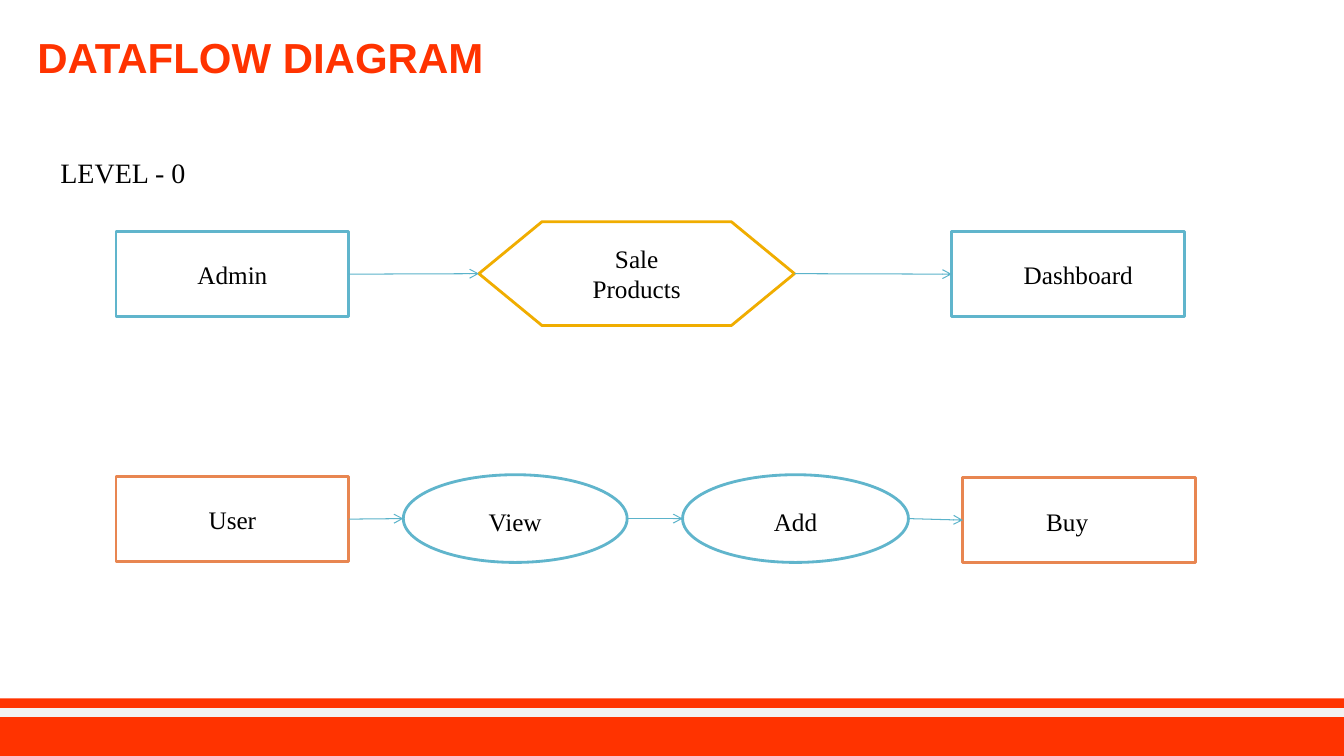
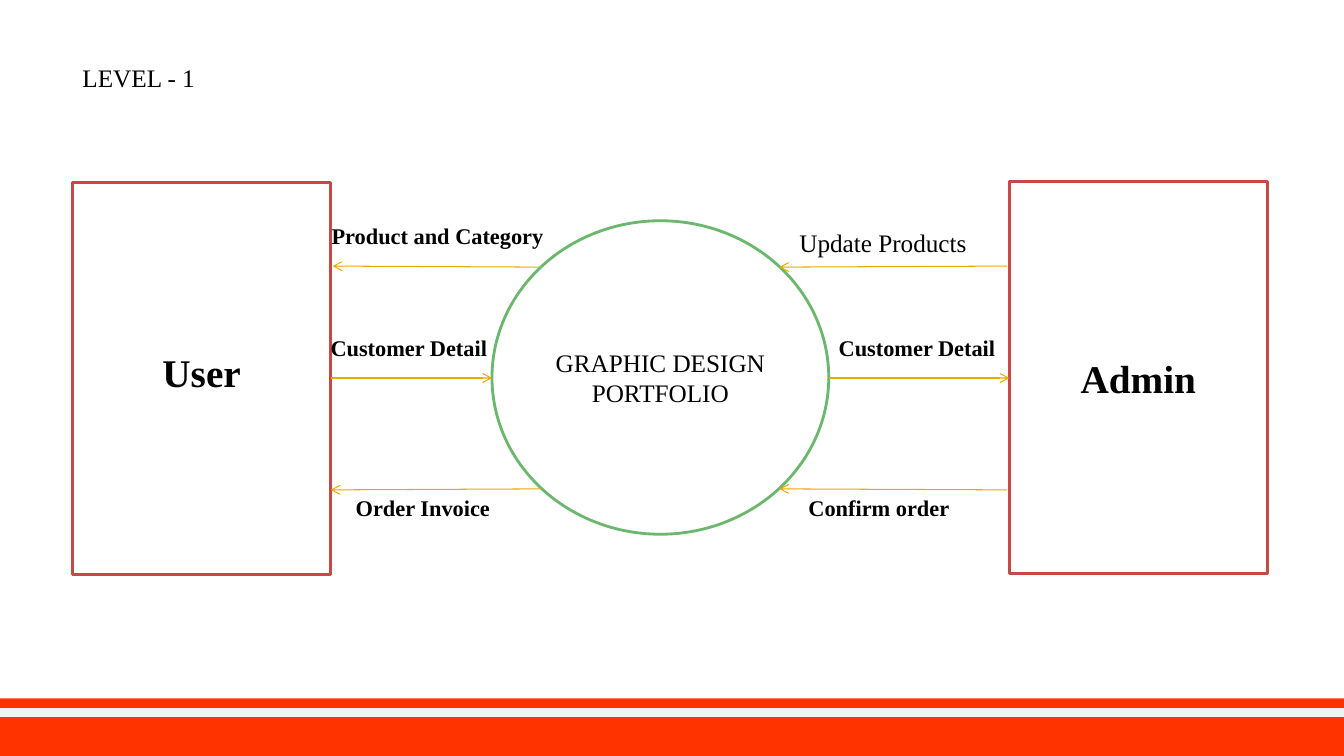
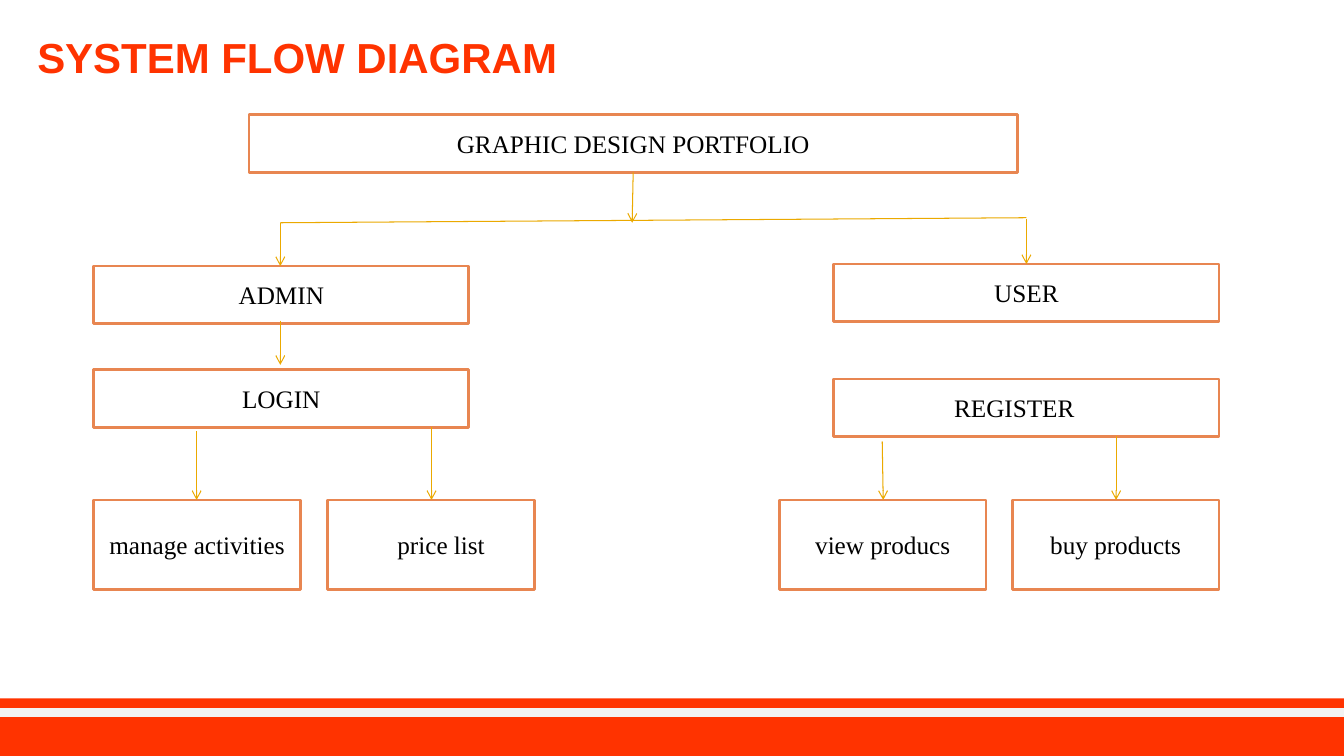
import pptx
import pptx.util
import pptx.dml.color
import pptx.enum.shapes
import pptx.enum.text
import pptx.oxml
import pptx.oxml.ns

Inches = pptx.util.Inches
Kind = pptx.enum.shapes.MSO_SHAPE
Align = pptx.enum.text.PP_ALIGN
Anchor = pptx.enum.text.MSO_ANCHOR

WIDE, HIGH = 13.33, 7.5
SERIF, SANS = "Times New Roman", "Arial"
HUES = {
    "brand": "FF3300",
    "stripe": "F2F2F2",
    "paper": "FFFFFF",
    "ink": "000000",
    "blue": "60B5CC",
    "sky": "5BB3CA",
    "gold": "F0AD00",
    "amber": "EBA900",
    "orange": "E88651",
    "red": "C64847",
    "green": "6BB76D",
}


def hue(name):
    return pptx.dml.color.RGBColor.from_string(HUES[name])


class Deck:
    def __init__(self):
        self.show = pptx.Presentation()
        self.show.slide_width = Inches(WIDE)
        self.show.slide_height = Inches(HIGH)
        self.slide = None

    def page(self, title=None):
        self.slide = self.show.slides.add_slide(self.show.slide_layouts[6])
        self.box(0, 6.93, WIDE, 0.57, None, fill="brand")
        self.line(0, 7.07, WIDE, 7.07, "stripe", 6, head=False)
        if title:
            frame = self.label(0.23, 0.18, 10.56, 0.83, title, 30, True, SANS, "brand")
            frame.vertical_anchor = Anchor.MIDDLE
            frame.margin_left = frame.margin_right = Inches(0.14)
            frame.margin_top = frame.margin_bottom = Inches(0.07)
            frame.paragraphs[0].line_spacing = 0.9

    def words(self, frame, text, size, bold=False, font=SERIF, color="ink", align=Align.LEFT):
        frame.word_wrap = True
        for i, row in enumerate(text.split("\n")):
            para = frame.add_paragraph() if i else frame.paragraphs[0]
            para.alignment = align
            run = para.add_run()
            run.text = row
            run.font.size = pptx.util.Pt(size)
            run.font.bold = bold
            run.font.name = font
            run.font.color.rgb = hue(color)

    def label(self, x, y, w, h, text, size=18, bold=False, font=SERIF, color="ink"):
        area = self.slide.shapes.add_textbox(Inches(x), Inches(y), Inches(w), Inches(h))
        self.words(area.text_frame, text, size, bold, font, color)
        return area.text_frame

    def box(self, x, y, w, h, edge, text="", kind=Kind.RECTANGLE, size=18,
            bold=False, dx=0, dy=0, pad=0, fill="paper"):
        shape = self.slide.shapes.add_shape(kind, Inches(x), Inches(y), Inches(w), Inches(h))
        shape.shadow.inherit = False
        shape.fill.solid()
        shape.fill.fore_color.rgb = hue(fill)
        if edge:
            shape.line.color.rgb = hue(edge)
            shape.line.width = pptx.util.Pt(2)
        else:
            shape.line.fill.background()
        if text:
            frame = shape.text_frame
            frame.vertical_anchor = Anchor.MIDDLE
            frame.margin_left = Inches(pad + max(0, 2 * dx))
            frame.margin_right = Inches(pad + max(0, -2 * dx))
            frame.margin_top = Inches(max(0, 2 * dy))
            frame.margin_bottom = Inches(max(0, -2 * dy))
            self.words(frame, text, size, bold, align=Align.CENTER)
        return shape

    def line(self, x1, y1, x2, y2, color="amber", width=0.75, head=True):
        wire = self.slide.shapes.add_connector(
            pptx.enum.shapes.MSO_CONNECTOR.STRAIGHT,
            Inches(x1), Inches(y1), Inches(x2), Inches(y2))
        wire.line.color.rgb = hue(color)
        wire.line.width = pptx.util.Pt(width)
        names = pptx.oxml.ns.nsdecls("a")
        props = wire.element.spPr
        if head:
            stroke = props.find(pptx.oxml.ns.qn("a:ln"))
            stroke.append(pptx.oxml.parse_xml(f'<a:tailEnd {names} type="arrow"/>'))
        props.append(pptx.oxml.parse_xml(f"<a:effectLst {names}/>"))

    def chain(self, row):
        for a, b in zip(row, row[1:]):
            ends = (a.left + a.width, a.top + a.height / 2, b.left, b.top + b.height / 2)
            self.line(*(end / Inches(1) for end in ends), "sky")

    def save(self):
        self.show.save("out.pptx")


def data_flow(deck):
    deck.page("DATAFLOW DIAGRAM")
    deck.label(0.5, 1.49, 2.95, 0.44, "LEVEL - 0", 20)
    w, h = 2.31, 0.84
    deck.chain([
        deck.box(1.15, 2.3, w, h, "blue", "Admin"),
        deck.box(4.75, 2.2, 3.13, 1.03, "gold", "Sale Products",
                 Kind.FLOWCHART_PREPARATION, pad=0.35),
        deck.box(9.44, 2.3, w, h, "blue", "Dashboard", dx=0.1),
    ])
    deck.chain([
        deck.box(1.15, 4.73, w, h, "orange", "User"),
        deck.box(4, 4.71, 2.22, 0.87, "blue", "View", Kind.OVAL, dy=0.03),
        deck.box(6.77, 4.71, 2.24, 0.87, "blue", "Add", Kind.OVAL, dy=0.03),
        deck.box(9.55, 4.74, w, h, "orange", "Buy", dx=-0.12, dy=0.01),
    ])


def level_one(deck):
    deck.page()
    deck.label(0.72, 0.57, 2.83, 0.4, "LEVEL - 1")
    deck.box(0.72, 1.81, 2.56, 3.89, "red", "User", size=28, bold=True, dy=-0.07)
    deck.box(10.01, 1.8, 2.56, 3.89, "red", "Admin", size=28, bold=True)
    deck.box(4.88, 2.19, 3.34, 3.11, "green", "GRAPHIC DESIGN\nPORTFOLIO", Kind.OVAL)
    for ends in [
        (5.37, 2.65, 3.3, 2.64),
        (3.28, 3.75, 4.88, 3.75),
        (5.37, 4.85, 3.28, 4.86),
        (9.99, 2.64, 7.73, 2.65),
        (8.22, 3.75, 10.01, 3.75),
        (9.99, 4.86, 7.73, 4.85),
    ]:
        deck.line(*ends)
    for x, y, text in [
        (3.19, 2.15, "Product and Category"),
        (3.18, 3.27, "Customer Detail"),
        (3.43, 4.85, "Order Invoice"),
        (8.22, 3.27, "Customer Detail"),
        (7.92, 4.85, "Confirm order"),
    ]:
        deck.label(x, y, 2.33, 0.37, text, 16, True)
    deck.label(7.83, 2.21, 2.26, 0.4, "Update Products")


def system_flow(deck):
    deck.page("SYSTEM FLOW DIAGRAM")
    for x, y, w, text, dx in [
        (2.47, 1.14, 7.62, "GRAPHIC DESIGN PORTFOLIO", 0),
        (0.93, 2.64, 3.72, "ADMIN", 0),
        (0.93, 3.67, 3.72, "LOGIN", 0),
        (8.27, 2.62, 3.82, "USER", 0),
        (8.27, 3.76, 3.82, "REGISTER", -0.12),
    ]:
        deck.box(x, y, w, 0.57, "orange", text, dx=dx)
    for x, text, dx in [
        (0.93, "manage activities", 0),
        (3.25, "price list", 0.1),
        (7.73, "view producs", 0),
        (10.04, "buy products", 0),
    ]:
        deck.box(x, 4.96, 2.05, 0.89, "orange", text, dx=dx)
    deck.line(2.78, 2.21, 10.18, 2.16, head=False)
    for ends in [
        (6.28, 1.71, 6.27, 2.21),
        (2.78, 2.21, 2.78, 2.64),
        (10.18, 2.17, 10.18, 2.62),
        (2.78, 3.18, 2.78, 3.62),
        (1.95, 4.28, 1.95, 4.96),
        (4.28, 4.24, 4.28, 4.96),
        (8.75, 4.38, 8.76, 4.96),
        (11.07, 4.33, 11.07, 4.96),
    ]:
        deck.line(*ends)


def main():
    deck = Deck()
    data_flow(deck)
    level_one(deck)
    system_flow(deck)
    deck.save()


if __name__ == "__main__":
    main()
